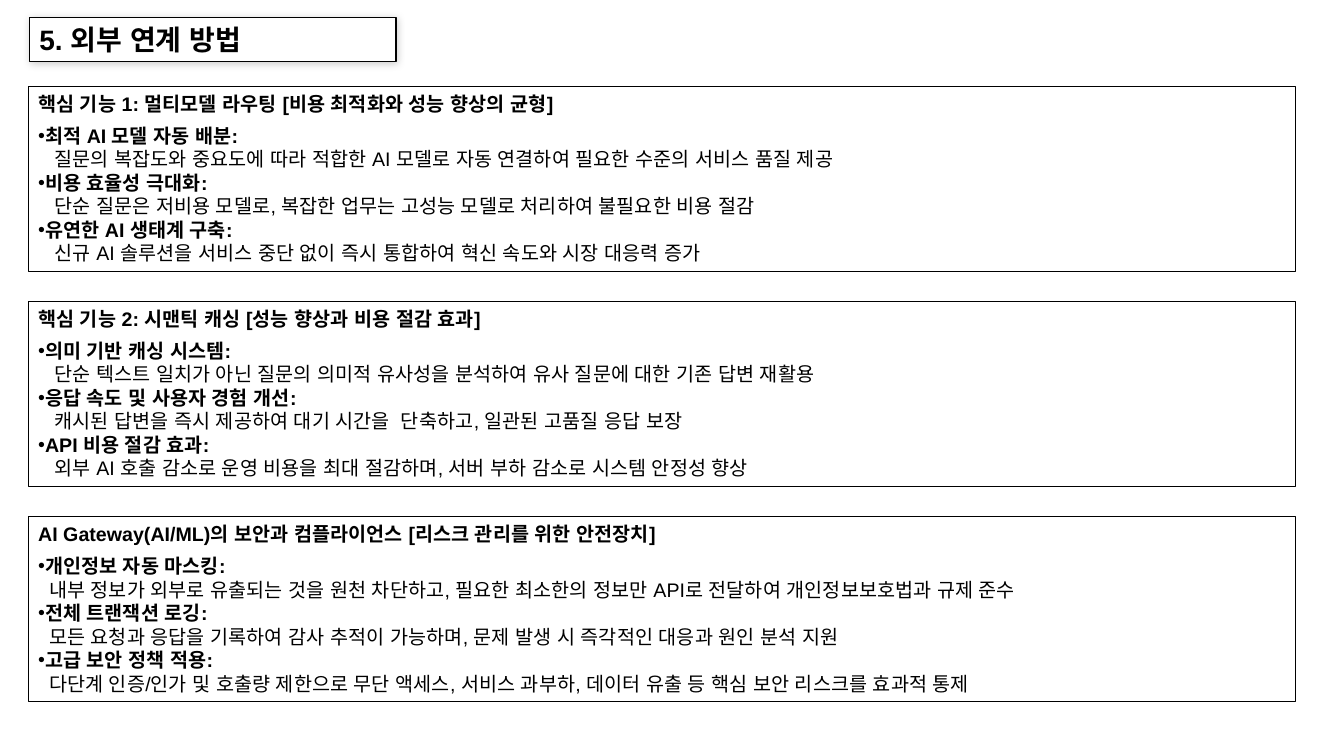
from dataclasses import dataclass

from lxml import etree
from pptx import Presentation
from pptx.dml.color import RGBColor
from pptx.enum.text import MSO_ANCHOR, MSO_AUTO_SIZE, PP_ALIGN
from pptx.oxml.ns import qn
from pptx.util import Pt

LEFT = PP_ALIGN.LEFT
TOP, MIDDLE = MSO_ANCHOR.TOP, MSO_ANCHOR.MIDDLE
FIXED_SIZE = MSO_AUTO_SIZE.NONE


@dataclass(frozen=True)
class Theme:
    ink = RGBColor(0x00, 0x00, 0x00)
    paper = RGBColor(0xFF, 0xFF, 0xFF)
    font = "Arial"
    title_size = Pt(20)
    body_size = Pt(14)
    border = Pt(0.75)


def frame_box(shape, anchor):
    """Give a box its outline and its text frame settings."""
    shape.line.color.rgb = Theme.ink
    shape.line.width = Theme.border
    settings = {
        "word_wrap": True, "auto_size": FIXED_SIZE, "vertical_anchor": anchor,
        "margin_left": Pt(7.2), "margin_right": Pt(7.2),
        "margin_top": Pt(3.6), "margin_bottom": Pt(3.6),
    }
    for key, value in settings.items():
        setattr(shape.text_frame, key, value)


def write_line(paragraph, text, size, bold):
    paragraph.alignment = LEFT
    run = paragraph.add_run()
    run.text = text
    run.font.color.rgb = Theme.ink
    for key, value in {"name": Theme.font, "size": size, "bold": bold}.items():
        setattr(run.font, key, value)
    etree.SubElement(run.font._element, qn("a:ea"), typeface=Theme.font)


# heading, indent of the explanations, (feature, explanation) pairs
SECTIONS = [
    ("핵심 기능 1: 멀티모델 라우팅 [비용 최적화와 성능 향상의 균형]", Pt(11.7), [
        ("최적 AI 모델 자동 배분:",
         "질문의 복잡도와 중요도에 따라 적합한 AI 모델로 자동 연결하여 필요한 수준의 서비스 품질 제공"),
        ("비용 효율성 극대화:",
         "단순 질문은 저비용 모델로, 복잡한 업무는 고성능 모델로 처리하여 불필요한 비용 절감"),
        ("유연한 AI 생태계 구축:",
         "신규 AI 솔루션을 서비스 중단 없이 즉시 통합하여 혁신 속도와 시장 대응력 증가"),
    ]),
    ("핵심 기능 2: 시맨틱 캐싱 [성능 향상과 비용 절감 효과]", Pt(11.7), [
        ("의미 기반 캐싱 시스템:",
         "단순 텍스트 일치가 아닌 질문의 의미적 유사성을 분석하여 유사 질문에 대한 기존 답변 재활용"),
        ("응답 속도 및 사용자 경험 개선:",
         "캐시된 답변을 즉시 제공하여 대기 시간을  단축하고, 일관된 고품질 응답 보장"),
        ("API 비용 절감 효과:",
         "외부 AI 호출 감소로 운영 비용을 최대 절감하며, 서버 부하 감소로 시스템 안정성 향상"),
    ]),
    ("AI Gateway(AI/ML)의 보안과 컴플라이언스 [리스크 관리를 위한 안전장치]", Pt(7.8), [
        ("개인정보 자동 마스킹:",
         "내부 정보가 외부로 유출되는 것을 원천 차단하고, 필요한 최소한의 정보만 API로 전달하여 "
         "개인정보보호법과 규제 준수"),
        ("전체 트랜잭션 로깅:",
         "모든 요청과 응답을 기록하여 감사 추적이 가능하며, 문제 발생 시 즉각적인 대응과 원인 분석 지원"),
        ("고급 보안 정책 적용:",
         "다단계 인증/인가 및 호출량 제한으로 무단 액세스, 서비스 과부하, 데이터 유출 등 "
         "핵심 보안 리스크를 효과적 통제"),
    ]),
]
SECTION_TOP, SECTION_PITCH = 61.9, 153.7

deck = Presentation()
deck.slide_width, deck.slide_height = Pt(960), Pt(540)
slide = deck.slides.add_slide(deck.slide_layouts[5])

# Title with a soft shadow
title = slide.shapes.title
title.left, title.top, title.width, title.height = Pt(20.9), Pt(12.2), Pt(262), Pt(31.7)
title.fill.solid()
title.fill.fore_color.rgb = Theme.paper
frame_box(title, MIDDLE)
write_line(title.text_frame.paragraphs[0], "5. 외부 연계 방법", Theme.title_size, True)
effects = etree.SubElement(title._element.spPr, qn("a:effectLst"))
shadow = etree.SubElement(effects, qn("a:outerShdw"), blurRad=str(Pt(6)),
                          dist=str(Pt(1)), dir="2700000", algn="tl", rotWithShape="0")
shadow_color = etree.SubElement(shadow, qn("a:srgbClr"), val=str(Theme.ink))
etree.SubElement(shadow_color, qn("a:alpha"), val="20000")

# One framed box per section
for index, (heading, indent, features) in enumerate(SECTIONS):
    top = SECTION_TOP + index * SECTION_PITCH
    section = slide.shapes.add_textbox(Pt(20.2), Pt(top), Pt(905.5), Pt(131.8))
    frame_box(section, TOP)
    body = section.text_frame
    write_line(body.paragraphs[0], heading, Theme.body_size, True)
    body.paragraphs[0].space_after = Pt(6)
    for feature, explanation in features:
        bullet_line = body.add_paragraph()
        write_line(bullet_line, feature, Theme.body_size, True)
        bullet_format = bullet_line._p.get_or_add_pPr()
        etree.SubElement(bullet_format, qn("a:buFont"), typeface=Theme.font)
        etree.SubElement(bullet_format, qn("a:buChar"), char="•")
        detail_line = body.add_paragraph()
        write_line(detail_line, explanation, Theme.body_size, False)
        detail_line._p.get_or_add_pPr().set("marL", str(indent))

deck.save("out.pptx")
